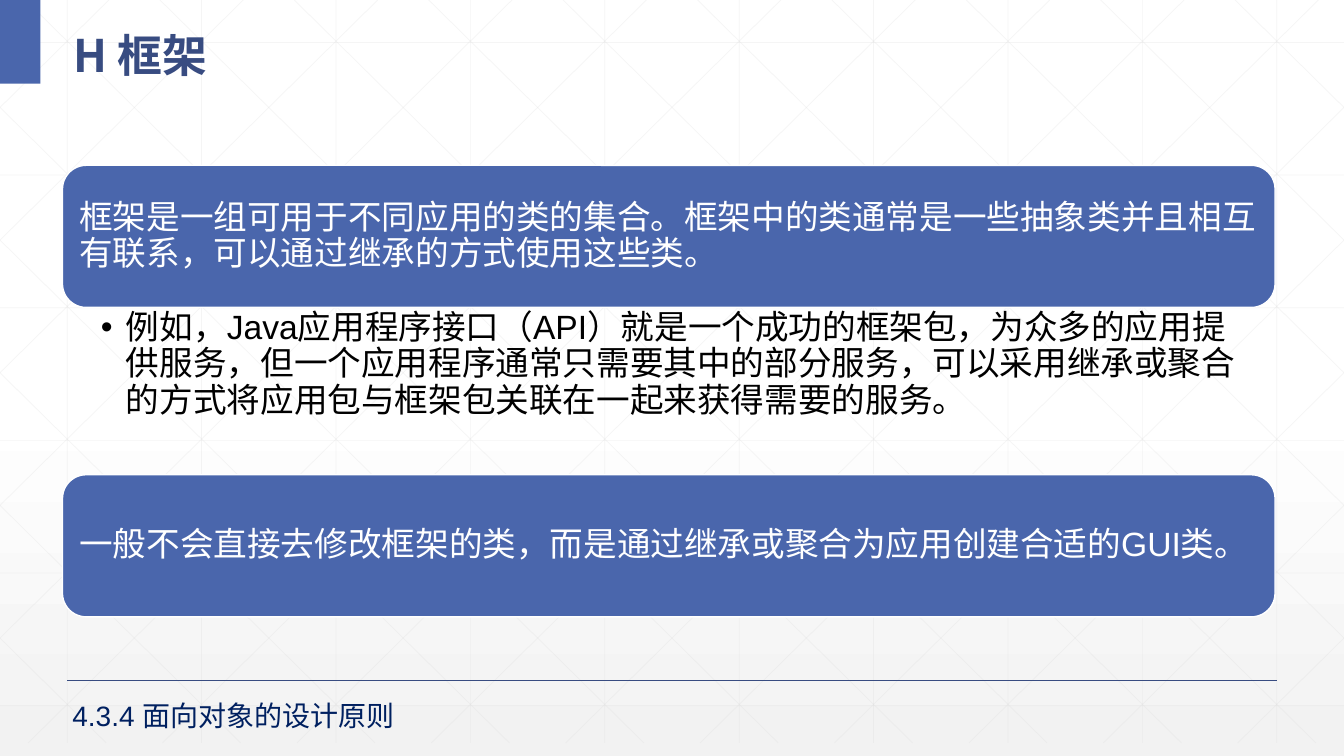
from lxml import etree
from pptx import Presentation
from pptx.dml.color import RGBColor
from pptx.enum.shapes import MSO_CONNECTOR, MSO_SHAPE
from pptx.enum.text import MSO_ANCHOR, PP_ALIGN
from pptx.oxml.ns import qn
from pptx.util import Inches, Pt

STRAIGHT = MSO_CONNECTOR.STRAIGHT
RECTANGLE, ROUNDED = MSO_SHAPE.RECTANGLE, MSO_SHAPE.ROUNDED_RECTANGLE
TOP, MIDDLE, LEFT = MSO_ANCHOR.TOP, MSO_ANCHOR.MIDDLE, PP_ALIGN.LEFT

WHITE = RGBColor(0xFF, 0xFF, 0xFF)
BLACK = RGBColor(0x00, 0x00, 0x00)
PALE_GRAY = RGBColor(0xF2, 0xF2, 0xF2)
LATTICE_GRAY = RGBColor(0xD9, 0xD9, 0xD9)
BLUE = RGBColor(0x4A, 0x66, 0xAC)
DARK_BLUE = RGBColor(0x38, 0x4C, 0x81)
NAVY = RGBColor(0x00, 0x20, 0x60)

LATIN_FONT, CHINESE_FONT = "Arial", "Noto Sans CJK SC"

# The slide is a grid of 100 columns by 75 rows.
COLUMNS, ROWS = 100, 75
CONTENT_LEFT, CONTENT_WIDTH = 4.65, 90.22
CARD_HEIGHT = 14.1
DEFAULT_INSETS = (0.1, 0.05, 0.1, 0.05)

# The background lattice has cells of 10 columns by 13.16 rows.
CELL_WIDTH, CELL_HEIGHT = 10, 13.16
CELLS_ACROSS, CELLS_DOWN = 10, 5.6

DEFINITION = ("框架是一组可用于不同应用的类的集合。框架中的类通常是一些抽象类"
              "并且相互有联系，可以通过继承的方式使用这些类。")
EXAMPLE = ("例如，Java应用程序接口（API）就是一个成功的框架包，为众多的应用提供服务，"
           "但一个应用程序通常只需要其中的部分服务，可以采用继承或聚合的方式将应用包"
           "与框架包关联在一起来获得需要的服务。")
ADVICE = "一般不会直接去修改框架的类，而是通过继承或聚合为应用创建合适的GUI类。"


class SlideBuilder:
    def __init__(self, presentation):
        self.slide = presentation.slides.add_slide(presentation.slide_layouts[6])
        self.column = presentation.slide_width / COLUMNS
        self.row = presentation.slide_height / ROWS

    def place(self, x, y):
        return round(x * self.column), round(y * self.row)

    def background(self):
        fill = self.slide.background.fill
        fill.gradient()
        fill.gradient_angle = 270
        for stop, position, color in zip(fill.gradient_stops, (0.53, 1), (WHITE, PALE_GRAY)):
            stop.position = position
            stop.color.rgb = color

    def line(self, start, end, color, width, opacity=None):
        connector = self.slide.shapes.add_connector(
            STRAIGHT, *self.place(*start), *self.place(*end))
        connector.line.color.rgb = color
        connector.line.width = Pt(width)
        properties = connector._element.spPr
        etree.SubElement(properties, qn("a:effectLst"))
        if opacity is not None:
            color_element = properties.find(".//" + qn("a:srgbClr"))
            etree.SubElement(color_element, qn("a:alpha"), val=str(opacity * 1000))

    def lattice_line(self, start, end):
        """Draw a faint line between two points given in lattice cells."""
        points = [(x * CELL_WIDTH, y * CELL_HEIGHT) for x, y in (start, end)]
        self.line(*points, LATTICE_GRAY, 0.5, opacity=25)

    def lattice(self):
        for index in range(CELLS_ACROSS):
            x = index + 0.5
            self.lattice_line((x, 0), (x, CELLS_DOWN))
        for index in range(6):
            y = index + 0.32
            self.lattice_line((0, y), (CELLS_ACROSS, y))
        for index in range(-5, CELLS_ACROSS):
            top_x = index + 0.19
            start_y = max(0, -top_x)
            end_y = min(CELLS_DOWN, CELLS_ACROSS - top_x)
            start, end = (top_x + start_y, start_y), (top_x + end_y, end_y)
            self.lattice_line(start, end)
            self.lattice_line(*[(CELLS_ACROSS - x, y) for x, y in (start, end)])

    def box(self, kind, left, top, width, height, outline=None):
        shape = self.slide.shapes.add_shape(
            kind, *self.place(left, top), *self.place(width, height))
        shape.shadow.inherit = False
        shape.fill.solid()
        shape.fill.fore_color.rgb = BLUE
        if outline is None:
            shape.line.fill.background()
        else:
            shape.line.color.rgb = outline
            shape.line.width = Pt(1)
        return shape

    def set_text(self, shape, text, size, color, font=LATIN_FONT, bold=False,
                 spacing=1.0, anchor=TOP, insets=DEFAULT_INSETS, bullet=False):
        frame = shape.text_frame
        frame.word_wrap = True
        frame.vertical_anchor = anchor
        (frame.margin_left, frame.margin_top,
         frame.margin_right, frame.margin_bottom) = map(Inches, insets)
        frame.text = text
        paragraph = frame.paragraphs[0]
        paragraph.alignment = LEFT
        paragraph.line_spacing = spacing
        if bullet:
            properties = paragraph._p.get_or_add_pPr()
            indent = Inches(0.25)
            properties.set("marL", str(indent))
            properties.set("indent", str(-indent))
            etree.SubElement(properties, qn("a:buFont"), typeface=LATIN_FONT)
            etree.SubElement(properties, qn("a:buChar"), char="•")
        for run in paragraph.runs:
            run.font.name = font
            run.font.size = Pt(size)
            run.font.bold = bold
            run.font.color.rgb = color
            latin = run._r.rPr.find(qn("a:latin"))
            east_asian = etree.Element(qn("a:ea"), typeface=CHINESE_FONT)
            latin.addnext(east_asian)

    def card(self, top, text):
        shape = self.box(ROUNDED, CONTENT_LEFT, top, CONTENT_WIDTH, CARD_HEIGHT, WHITE)
        self.set_text(shape, text, 24, WHITE, spacing=0.9, anchor=MIDDLE, insets=(0.1,) * 4)

    def text(self, left, top, width, height, text, size, color, **style):
        shape = self.slide.shapes.add_textbox(
            *self.place(left, top), *self.place(width, height))
        self.set_text(shape, text, size, color, **style)


def main():
    presentation = Presentation()
    presentation.slide_width = Inches(13.33)
    presentation.slide_height = Inches(7.5)

    builder = SlideBuilder(presentation)
    builder.background()
    builder.lattice()
    builder.line((5, 67.5), (95, 67.5), DARK_BLUE, 1)
    builder.box(RECTANGLE, 0, 0, 3, 8.3)
    builder.text(4.73, 1, 93.17, 7.3, "H 框架", 32, DARK_BLUE,
                 font=CHINESE_FONT, bold=True, spacing=1.3, anchor=MIDDLE)
    builder.card(16.4, DEFINITION)
    builder.text(CONTENT_LEFT, 30.5, CONTENT_WIDTH, 16.6, EXAMPLE, 24, BLACK,
                 spacing=0.9, insets=(0.38, 0.03, 0.19, 0.03), bullet=True)
    builder.card(47.1, ADVICE)
    builder.text(CONTENT_LEFT, 68.8, 45.3, 4.4, "4.3.4 面向对象的设计原则", 20, NAVY)
    presentation.save("out.pptx")


if __name__ == "__main__":
    main()
